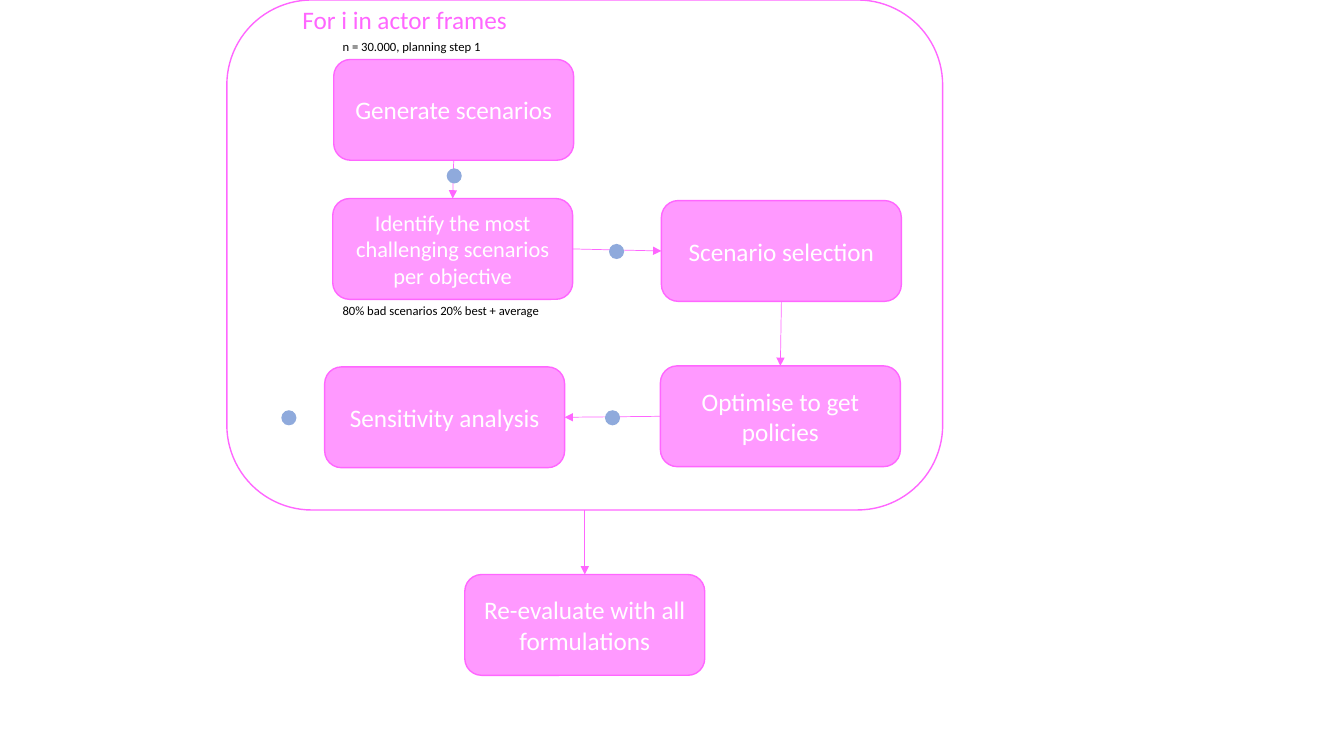
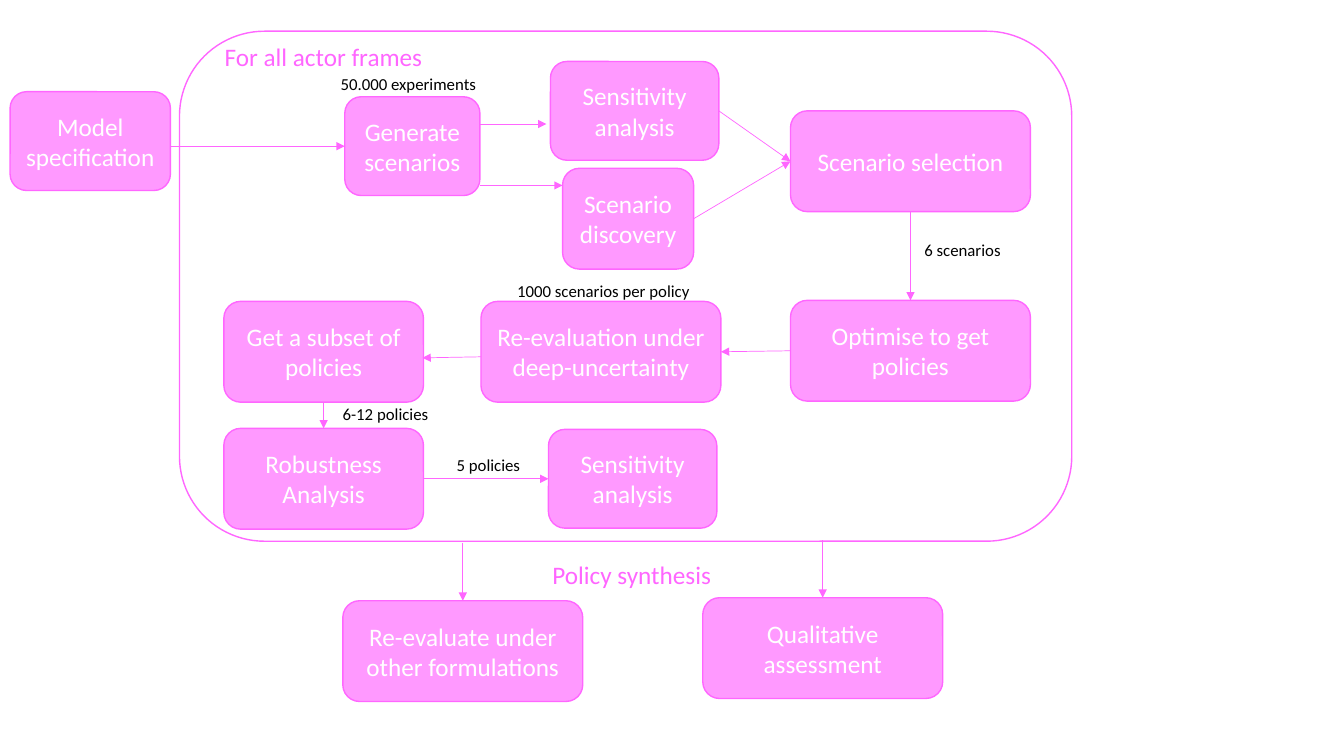
from lxml import etree
from pptx import Presentation
from pptx.dml.color import RGBColor
from pptx.enum.shapes import MSO_CONNECTOR, MSO_SHAPE
from pptx.enum.text import MSO_ANCHOR, MSO_AUTO_SIZE, PP_ALIGN
from pptx.oxml.ns import qn
from pptx.util import Inches, Pt

STRAIGHT = MSO_CONNECTOR.STRAIGHT
ROUNDED, OVAL = MSO_SHAPE.ROUNDED_RECTANGLE, MSO_SHAPE.OVAL
MIDDLE, CENTER, LEFT_ALIGNED = MSO_ANCHOR.MIDDLE, PP_ALIGN.CENTER, PP_ALIGN.LEFT
FIT_SHAPE = MSO_AUTO_SIZE.SHAPE_TO_FIT_TEXT

FONT = "Calibri"
PINK, EDGE, WHITE, BLACK, BLUE = "FF99FF", "FF66FF", "FFFFFF", "000000", "8FAADC"
TOP, LEFT, BOTTOM, RIGHT = range(4)
WIDE, MEDIUM, SMALL = (2.38, 1), (1.98, 1), (1.67, 0.98)
DOT = (0.15, 0.15)
HEADING_SIZE = 18

FLOWS = [
    {
        "frame": (2.25, 0, 7.1, 5.06),
        "headings": [("For i in actor frames", (2.9, -0.01, 2.25, 0.4))],
        "boxes": {
            "generate": ("Generate scenarios", (3.31, 0.59), WIDE, 18),
            "identify": ("Identify the most challenging scenarios per objective",
                         (3.3, 1.97), WIDE, 16),
            "selection": ("Scenario selection", (6.56, 1.99), WIDE, 18),
            "optimise": ("Optimise to get policies", (6.55, 3.63), WIDE, 18),
            "sensitivity": ("Sensitivity analysis", (3.22, 3.64), WIDE, 18),
            "re-evaluate": ("Re-evaluate with all formulations", (4.61, 5.7), WIDE, 18),
        },
        "links": [
            ("generate", BOTTOM, "identify", TOP),
            ("identify", RIGHT, "selection", LEFT),
            ("selection", BOTTOM, "optimise", TOP),
            ("optimise", LEFT, "sensitivity", RIGHT),
            ("frame", BOTTOM, "re-evaluate", TOP),
        ],
        "arrows": [],
        "dots": [(4.43, 1.67), (6.04, 2.42), (6, 4.07), (2.79, 4.07)],
        "note_size": 9,
        "notes": [
            ("n = 30.000, planning step 1", (3.3, 0.34, 1.77, 0.4)),
            ("80% bad scenarios 20% best + average", (3.3, 2.96, 2.37, 0.25)),
        ],
    },
    {
        "frame": (1.78, 0.31, 8.85, 5.06),
        "headings": [
            ("For all actor frames", (2.13, 0.36, 2.24, 0.4)),
            ("Policy synthesis", (5.38, 5.5, 1.79, 0.4)),
        ],
        "boxes": {
            "model": ("Model specification", (0.1, 0.91), (1.59, 0.98), 18),
            "generate": ("Generate scenarios", (3.42, 0.96), (1.34, 0.98), 18),
            "sensitivity": ("Sensitivity\nanalysis", (5.46, 0.61), SMALL, 18),
            "discovery": ("Scenario discovery", (5.58, 1.67), (1.3, 1), 18),
            "selection": ("Scenario selection", (7.84, 1.1), WIDE, 18),
            "optimise": ("Optimise to get policies", (7.84, 2.98), WIDE, 18),
            "uncertainty": ("Re-evaluation under deep-uncertainty", (4.77, 2.99), WIDE, 18),
            "subset": ("Get a subset of policies", (2.22, 2.99), MEDIUM, 18),
            "robustness": ("Robustness Analysis", (2.22, 4.25), MEDIUM, 18),
            "final": ("Sensitivity analysis", (5.44, 4.26), SMALL, 18),
            "re-evaluate": ("Re-evaluate under other formulations", (3.4, 5.96), WIDE, 18),
            "assessment": ("Qualitative assessment", (6.97, 5.93), WIDE, 18),
        },
        "links": [
            ("sensitivity", RIGHT, "selection", LEFT),
            ("discovery", RIGHT, "selection", LEFT),
            ("selection", BOTTOM, "optimise", TOP),
            ("optimise", LEFT, "uncertainty", RIGHT),
            ("subset", BOTTOM, "robustness", TOP),
            ("robustness", RIGHT, "final", LEFT),
        ],
        "arrows": [
            (1.69, 1.45, 3.42, 1.45),
            (4.76, 1.23, 5.42, 1.23),
            (4.76, 1.84, 5.58, 1.84),
            (4.77, 3.54, 4.19, 3.55),
            (4.59, 5.39, 4.59, 5.96),
            (8.16, 5.36, 8.16, 5.93),
        ],
        "dots": [],
        "note_size": 12,
        "notes": [
            ("50.000 experiments", (3.28, 0.68, 1.77, 0.3)),
            ("6 scenarios", (9.07, 2.33, 1.77, 0.3)),
            ("1000 scenarios per policy", (5.03, 2.74, 1.98, 0.3)),
            ("6-12 policies", (3.3, 3.96, 1.77, 0.3)),
            ("5 policies", (4.43, 4.46, 0.88, 0.3)),
        ],
    },
]


def color(value):
    """Turn a hex string into a colour."""
    return RGBColor.from_string(value)


def write(shape, text, size, tint, alignment):
    """Set the text of a shape and format its runs."""
    shape.text_frame.text = text
    for paragraph in shape.text_frame.paragraphs:
        paragraph.alignment = alignment
        for run in paragraph.runs:
            run.font.name = FONT
            run.font.size = Pt(size)
            run.font.color.rgb = color(tint)


def add_shape(slide, kind, bounds, fill=None, line=None):
    """Add a flat preset shape with an optional fill and outline."""
    shape = slide.shapes.add_shape(kind, *map(Inches, bounds))
    shape.shadow.inherit = False
    if fill:
        shape.fill.solid()
        shape.fill.fore_color.rgb = color(fill)
    else:
        shape.fill.background()
    if line:
        shape.line.color.rgb = color(line)
        shape.line.width = Pt(1)
    else:
        shape.line.fill.background()
    return shape


def add_box(slide, text, position, extent, size):
    """Add a step of the flow."""
    shape = add_shape(slide, ROUNDED, position + extent, PINK, EDGE)
    shape.text_frame.word_wrap = True
    shape.text_frame.vertical_anchor = MIDDLE
    write(shape, text, size, WHITE, CENTER)
    return shape


def add_label(slide, text, bounds, size, tint, wrap):
    """Add a text box that grows with its text."""
    label = slide.shapes.add_textbox(*map(Inches, bounds))
    label.text_frame.word_wrap = wrap
    label.text_frame.auto_size = FIT_SHAPE
    write(label, text, size, tint, LEFT_ALIGNED)


def add_arrow(slide, points=(0, 0, 0, 0)):
    """Add a thin line with a triangular head at its end."""
    arrow = slide.shapes.add_connector(STRAIGHT, *map(Inches, points))
    arrow.line.color.rgb = color(EDGE)
    arrow.line.width = Pt(0.5)
    etree.SubElement(arrow.line._get_or_add_ln(), qn("a:tailEnd"), type="triangle")
    etree.SubElement(arrow._element.spPr, qn("a:effectLst"))
    return arrow


def draw_flow(slide, flow):
    """Draw one flow chart on a slide."""
    steps = {"frame": add_shape(slide, ROUNDED, flow["frame"], line=EDGE)}
    for name, box in flow["boxes"].items():
        steps[name] = add_box(slide, *box)
    for start, start_side, end, end_side in flow["links"]:
        arrow = add_arrow(slide)
        arrow.begin_connect(steps[start], start_side)
        arrow.end_connect(steps[end], end_side)
    for points in flow["arrows"]:
        add_arrow(slide, points)
    for position in flow["dots"]:
        add_shape(slide, OVAL, position + DOT, BLUE)
    for text, bounds in flow["headings"]:
        add_label(slide, text, bounds, HEADING_SIZE, EDGE, False)
    for text, bounds in flow["notes"]:
        add_label(slide, text, bounds, flow["note_size"], BLACK, True)


presentation = Presentation()
presentation.slide_width, presentation.slide_height = Inches(13.33), Inches(7.5)
blank_layout = presentation.slide_layouts[6]
for flow in FLOWS:
    draw_flow(presentation.slides.add_slide(blank_layout), flow)
presentation.save("out.pptx")
